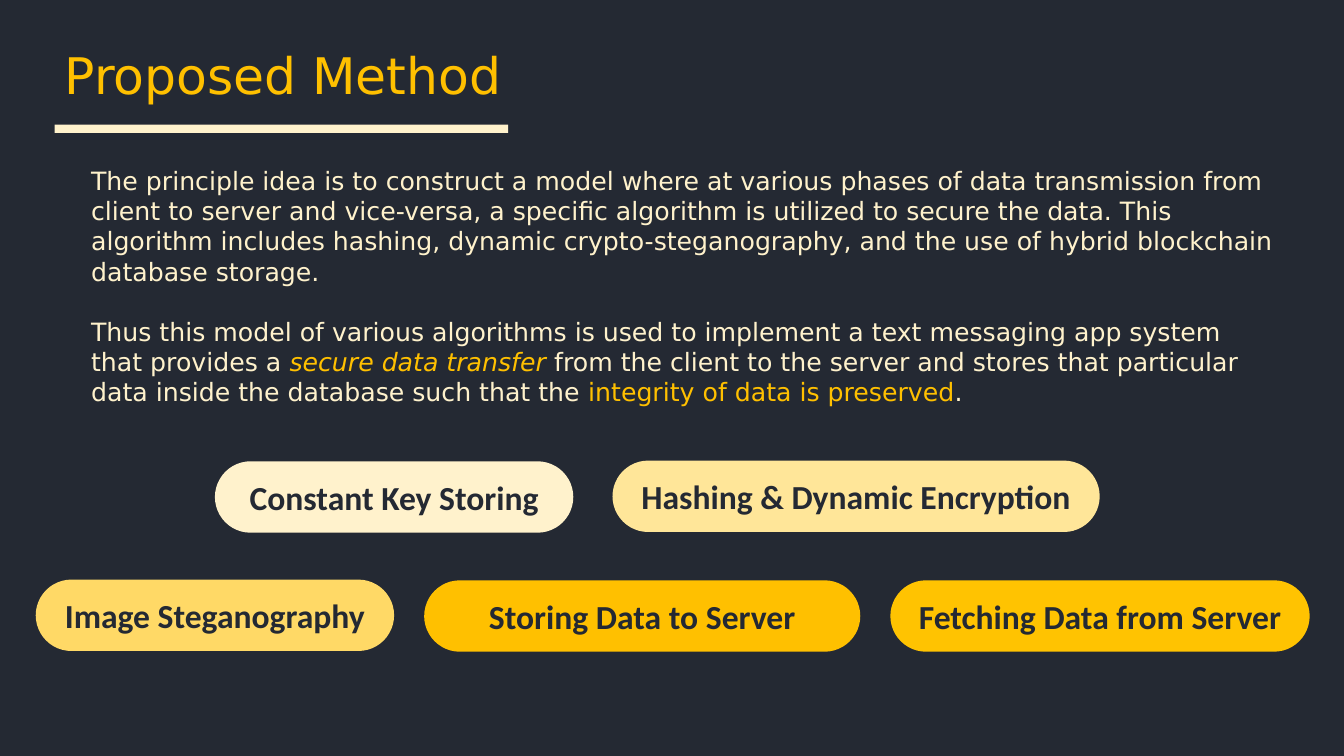
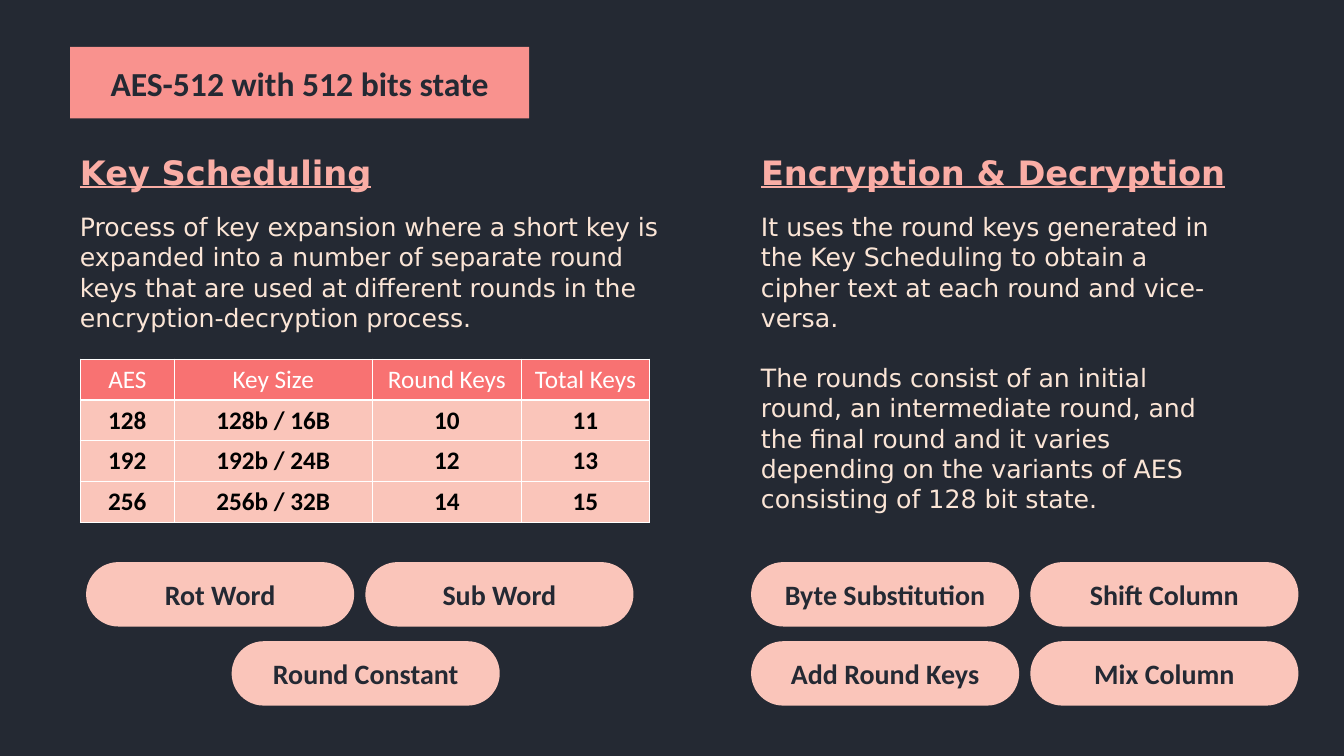
from lxml.etree import SubElement
from pptx import Presentation
from pptx.dml.color import RGBColor
from pptx.enum.shapes import MSO_SHAPE as Shape
from pptx.enum.text import MSO_ANCHOR as Anchor, MSO_AUTO_SIZE as Fit, PP_ALIGN as Align
from pptx.oxml import parse_xml
from pptx.oxml.ns import nsdecls, qn
from pptx.util import Pt

COLORS = {
    "night": "242933", "white": "FFFFFF", "black": "000000",
    "cream": "FFF2CC", "butter": "FFE699", "honey": "FFD966", "gold": "FFC000", "amber": "FFC301",
    "coral": "F9928E", "rose": "FAADA5", "blush": "FAC5BA", "shell": "FBE5D6", "red": "F87272",
}
TEXT_FONT, LABEL_FONT = "DejaVu Sans", "Calibri"
PARA_GAP = 21.5
PILL_GEOMETRY = (f'<a:prstGeom {nsdecls("a")} prst="roundRect"><a:avLst>'
                 '<a:gd name="adj" fmla="val 50000"/></a:avLst></a:prstGeom>')


def color(name):
    return RGBColor.from_string(COLORS[name])


class Slides:
    """Holds the deck style and the current page; lengths are in points."""

    def __init__(self):
        self.deck = Presentation()
        self.deck.slide_width, self.deck.slide_height = Pt(960), Pt(540)
        self.fill(self.deck.slide_master.background, "night")
        self.page = None

    def new_page(self):
        self.page = self.deck.slides.add_slide(self.deck.slide_layouts[5])

    def fill(self, item, name):
        item.fill.solid()
        item.fill.fore_color.rgb = color(name)

    def add_spans(self, para, spans, align=Align.LEFT, **base):
        """Add spans, each a string or a (string, format changes) pair."""
        para.alignment = align
        for part in spans:
            text, changes = (part, {}) if isinstance(part, str) else part
            span = para.add_run()
            span.text = text
            for key, value in {**base, **changes}.items():
                if key == "color":
                    span.font.color.rgb = color(value)
                else:
                    setattr(span.font, key, Pt(value) if key == "size" else value)

    def place(self, item, left, top, width, height):
        for key, value in zip(("left", "top", "width", "height"), (left, top, width, height)):
            setattr(item, key, Pt(value))

    def set_frame(self, item, anchor):
        frame = item.text_frame
        settings = {"word_wrap": True, "auto_size": Fit.NONE, "vertical_anchor": anchor}
        for key, value in settings.items():
            setattr(frame, key, value)
        return frame

    def title(self, text, *area):
        box = self.page.shapes.title
        self.place(box, *area)
        frame = self.set_frame(box, Anchor.TOP)
        self.add_spans(frame.paragraphs[0], [text], name=TEXT_FONT, size=36, color="gold")

    def pill_title(self, text, tint, *area):
        box = self.page.shapes.title
        self.place(box, *area)
        box._element.spPr.find(qn("a:xfrm")).addnext(parse_xml(PILL_GEOMETRY))
        self.label(box, text, tint, 24)

    def label(self, box, text, tint, size):
        self.fill(box, tint)
        frame = self.set_frame(box, Anchor.MIDDLE)
        self.add_spans(frame.paragraphs[0], [text], Align.CENTER,
                       name=LABEL_FONT, size=size, color="night", bold=True)

    def shape(self, kind, tint, area, shapes=None):
        box = (shapes or self.page.shapes).add_shape(kind, *map(Pt, area))
        box.shadow.inherit = False
        self.fill(box, tint)
        box.line.fill.background()
        return box

    def pill(self, text, tint, *area, size=24, shapes=None):
        box = self.shape(Shape.ROUNDED_RECTANGLE, tint, area, shapes)
        box.adjustments[0] = 0.5
        self.label(box, text, tint, size)

    def pill_group(self, pills):
        group = self.page.shapes.add_group_shape()
        for text, left, top in pills:
            self.pill(text, "blush", left, top, 191.5, 46, size=20, shapes=group.shapes)

    def text(self, paragraphs, *area, **style):
        box = self.page.shapes.add_textbox(*map(Pt, area))
        frame = self.set_frame(box, Anchor.TOP)
        for index, spans in enumerate(paragraphs):
            para = frame.add_paragraph() if index else frame.paragraphs[0]
            if index:
                para.space_before = Pt(PARA_GAP)
            self.add_spans(para, spans, **{"name": TEXT_FONT, "size": 18, **style})

    def table(self, rows, left, top, widths, row_height):
        grid = self.page.shapes.add_table(
            len(rows), len(widths), Pt(left), Pt(top),
            Pt(sum(widths)), Pt(row_height * len(rows))).table
        for column, width in zip(grid.columns, widths):
            column.width = Pt(width)
        for y, row in enumerate(rows):
            grid.rows[y].height = Pt(row_height)
            for x, value in enumerate(row):
                cell = grid.cell(y, x)
                self.borders(cell)
                self.fill(cell, "blush" if y else "red")
                self.add_spans(cell.text_frame.paragraphs[0], [value], Align.CENTER,
                               name=LABEL_FONT, size=18, bold=y > 0,
                               color="black" if y else "white")

    def borders(self, cell):
        props = cell._tc.get_or_add_tcPr()
        for side in ("lnL", "lnR", "lnT", "lnB"):
            line = SubElement(props, qn(f"a:{side}"), w=str(Pt(1)))
            solid = SubElement(line, qn("a:solidFill"))
            SubElement(solid, qn("a:srgbClr"), val=COLORS["white"])


def proposed_method(slides):
    slides.new_page()
    slides.title("Proposed Method", 39, 28, 346, 51)
    slides.shape(Shape.RECTANGLE, "cream", (39, 89, 324, 6))

    # Description with highlighted phrases
    slides.text([
        ["The principle idea is to construct a model where at various phases of data transmission "
         "from client to server and vice-versa, a specific algorithm is utilized to secure the data. "
         "This algorithm includes hashing, dynamic crypto-steganography, and the use of hybrid "
         "blockchain database storage."],
        ["Thus this model of various algorithms is used to implement a text messaging app system "
         "that provides a ",
         ("secure data transfer", {"color": "gold", "italic": True}),
         " from the client to the server and stores that particular data inside the database "
         "such that the ",
         ("integrity of data is preserved", {"color": "gold"}), "."],
    ], 58, 114.5, 860.5, 181.5, color="cream")

    # Steps of the method
    for text, tint, left, top, width in (
            ("Constant Key Storing", "cream", 153.5, 329.5, 256),
            ("Hashing & Dynamic Encryption", "butter", 437.5, 329, 348),
            ("Image Steganography", "honey", 25.5, 414, 256),
            ("Storing Data to Server", "gold", 303, 414.5, 311.5),
            ("Fetching Data from Server", "amber", 636, 414.5, 299.5)):
        slides.pill(text, tint, left, top, width, 51)


def aes_512(slides):
    slides.new_page()
    slides.pill_title("AES-512 with 512 bits state", "coral", 50, 33.5, 328, 51)
    left, right = 50, 536.5

    # Column headings and descriptions
    for heading, x, width in (("Key Scheduling", left, 255),
                              ("Encryption & Decryption", right, 361.5)):
        slides.text([[heading]], x, 105, width, 36,
                    size=24, color="rose", bold=True, underline=True)
    slides.text([
        ["Process of key expansion where a short key is expanded into a number of separate round "
         "keys that are used at different rounds in the encryption-decryption process."],
    ], left, 147.5, 430, 94.5, color="shell")
    slides.text([
        ["It uses the round keys generated in the Key Scheduling to obtain a cipher text at each "
         "round and vice-versa."],
        ["The rounds consist of an initial round, an intermediate round, and the final round and "
         "it varies depending on the variants of AES consisting of 128 bit state."],
    ], right, 147.5, 349, 225.5, color="shell")

    # Key sizes
    slides.table([
        ("AES", "Key Size", "Round Keys", "Total Keys"),
        ("128", "128b / 16B", "10", "11"),
        ("192", "192b / 24B", "12", "13"),
        ("256", "256b / 32B", "14", "15"),
    ], 57.5, 256.5, (67, 141.5, 106.5, 91.5), 29.2)

    # Operations of each stage
    upper, lower, step = 401.5, 458, 199.5
    slides.pill_group([
        ("Byte Substitution", right, upper), ("Shift Column", right + step, upper),
        ("Add Round Keys", right, lower), ("Mix Column", right + step, lower)])
    slides.pill_group([
        ("Rot Word", 61.5, upper), ("Sub Word", 61.5 + step, upper),
        ("Round Constant", 165.5, lower)])


def main():
    slides = Slides()
    proposed_method(slides)
    aes_512(slides)
    slides.deck.save("out.pptx")


if __name__ == "__main__":
    main()
